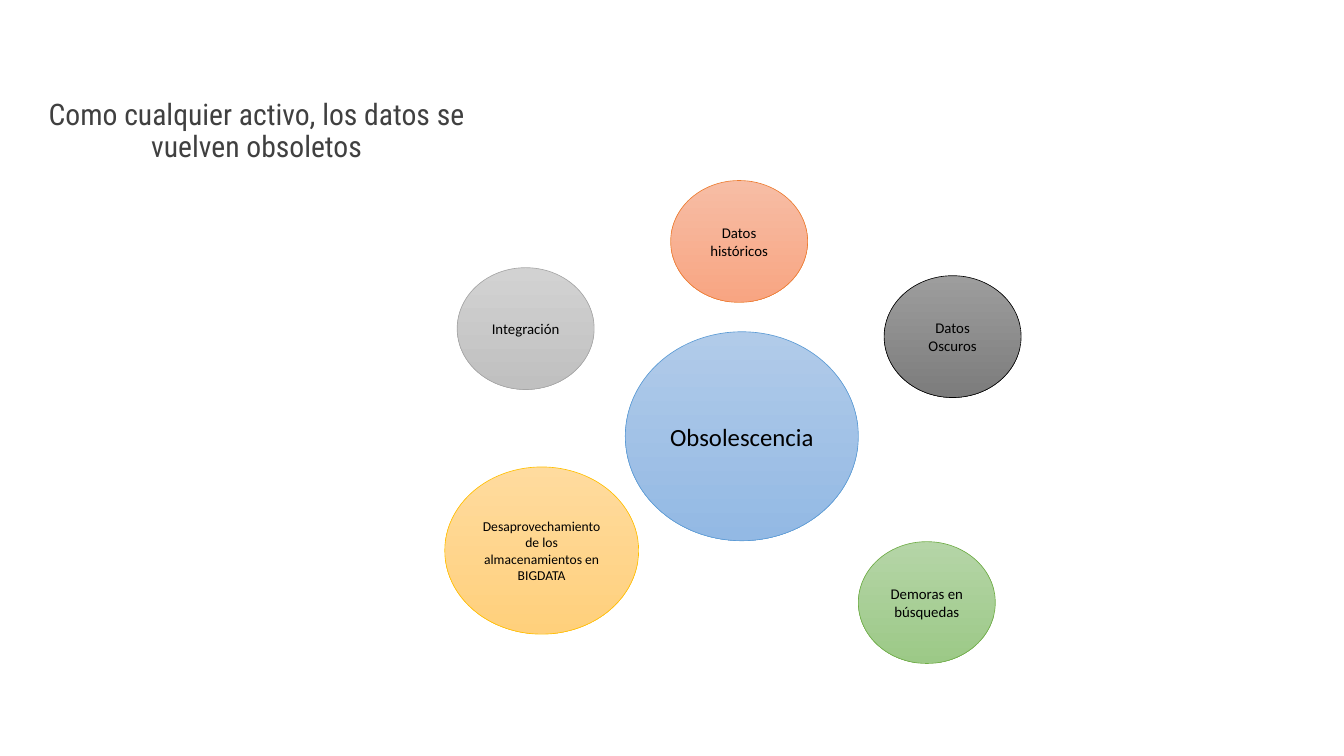
from dataclasses import dataclass

from pptx import Presentation
from pptx.dml.color import RGBColor as Rgb
from pptx.enum.shapes import MSO_SHAPE as Shape
from pptx.enum.text import MSO_ANCHOR as Anchor, PP_ALIGN as Align
from pptx.util import Inches, Pt


@dataclass(frozen=True)
class Theme:
    head_font: str = "Roboto Condensed"
    body_font: str = "Calibri"
    head_ink: str = "404040"
    ink: str = "000000"
    head: int = 24
    core: int = 20
    note: int = 12
    small: int = 11
    # Each tone: gradient top, gradient bottom, outline
    blue: tuple = ("B1CBE9", "93B9E4", "5B9BD5")
    gold: tuple = ("FFDB9E", "FFD07C", "FFC000")
    green: tuple = ("B5D5A7", "9CC987", "70AD47")
    gray: tuple = ("D2D2D2", "C0C0C0", "A5A5A5")
    orange: tuple = ("F7BDA5", "F8A582", "ED7D31")
    black: tuple = ("9D9D9D", "7C7C7C", "000000")


class Board:
    def __init__(self, slide, theme):
        self.slide = slide
        self.theme = theme

    def label(self, shape, text, size, font, ink):
        frame = shape.text_frame
        frame.word_wrap = True
        frame.vertical_anchor = Anchor.MIDDLE
        para = frame.paragraphs[0]
        para.text = text
        para.alignment = Align.CENTER
        para.font.size = Pt(size)
        para.font.name = font
        para.font.color.rgb = Rgb.from_string(ink)
        return frame

    def title(self, text, box):
        theme = self.theme
        shape = self.slide.shapes.add_textbox(*map(Inches, box))
        frame = self.label(shape, text, theme.head, theme.head_font, theme.head_ink)
        frame.paragraphs[0].line_spacing = 0.9

    def bubble(self, text, box, tone, size):
        shape = self.slide.shapes.add_shape(Shape.OVAL, *map(Inches, box))
        shape.shadow.inherit = False
        *shades, edge = tone
        shape.fill.gradient()
        shape.fill.gradient_angle = 270
        for stop, shade in zip(shape.fill.gradient_stops, shades):
            stop.color.rgb = Rgb.from_string(shade)
        shape.line.color.rgb = Rgb.from_string(edge)
        shape.line.width = Pt(0.5)
        frame = self.label(shape, text, size, self.theme.body_font, self.theme.ink)
        frame.margin_left = frame.margin_right = Inches(0.09)


def main():
    deck = Presentation()
    deck.slide_width, deck.slide_height = Inches(15.11), Inches(8.5)
    theme = Theme()
    board = Board(deck.slides.add_slide(deck.slide_layouts[6]), theme)

    # Central idea and the largest cause
    board.bubble("Obsolescencia", (7.03, 3.73, 2.62, 2.35), theme.blue, theme.core)
    board.bubble("Desaprovechamiento de los almacenamientos en BIGDATA",
                 (5, 5.25, 2.18, 1.88), theme.gold, theme.small)

    # Equal bubbles around the centre
    causes = [
        ("Demoras en búsquedas", 9.65, 6.09, theme.green),
        ("Integración", 5.14, 3.01, theme.gray),
        ("Datos históricos", 7.54, 2.03, theme.orange),
        ("Datos Oscuros", 9.94, 3.1, theme.black),
    ]
    for text, left, top, tone in causes:
        board.bubble(text, (left, top, 1.54, 1.37), tone, theme.note)

    # Heading
    board.title("Como cualquier activo, los datos se vuelven obsoletos",
                (0.44, 0.73, 4.89, 1.5))

    deck.save("out.pptx")


if __name__ == "__main__":
    main()
